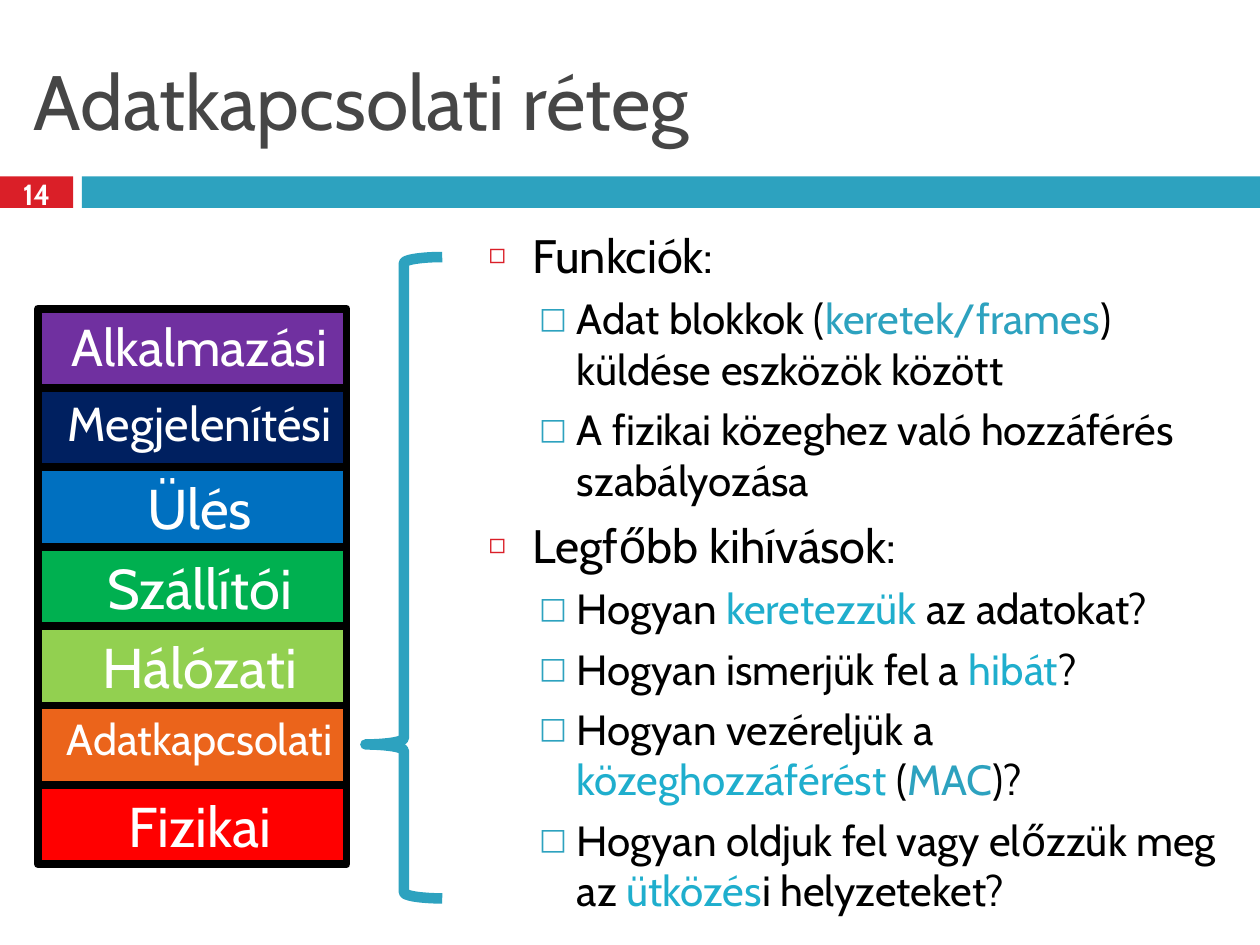
from dataclasses import dataclass

from lxml import etree
from pptx import Presentation
from pptx.dml.color import RGBColor
from pptx.enum.shapes import MSO_SHAPE
from pptx.enum.text import MSO_ANCHOR, PP_ALIGN
from pptx.oxml.ns import qn
from pptx.util import Inches, Pt

RECT, BRACE = MSO_SHAPE.RECTANGLE, MSO_SHAPE.LEFT_BRACE
TOP, MIDDLE = MSO_ANCHOR.TOP, MSO_ANCHOR.MIDDLE
LEFT, CENTER = PP_ALIGN.LEFT, PP_ALIGN.CENTER

FONT = "Cabin"
WHITE = RGBColor(0xFF, 0xFF, 0xFF)
BLACK = RGBColor(0x00, 0x00, 0x00)
GREY = RGBColor(0x46, 0x46, 0x46)
RED = RGBColor(0xDA, 0x1F, 0x28)
TEAL = RGBColor(0x2D, 0xA2, 0xBF)
CYAN = RGBColor(0x1F, 0xAE, 0xCD)

SLIDE_W, SLIDE_H = 10, 7.5
BAR_TOP, BAR_H = 1.4, 0.25
STACK_LEFT, STACK_TOP = 0.3, 2.45
LAYER_W, LAYER_H = 2.45, 0.63


@dataclass
class Layer:
    name: str
    size: float
    fill: RGBColor


@dataclass
class Level:
    size: float
    margin: float
    indent: float
    before: float
    bullet: str
    bullet_color: RGBColor
    bullet_share: int


@dataclass
class Item:
    level: int
    runs: list[tuple[str, RGBColor]]


LAYERS = [
    Layer("Alkalmazási", 29.6, RGBColor(0x70, 0x30, 0xA0)),
    Layer("Megjelenítési", 27.2, RGBColor(0x00, 0x20, 0x60)),
    Layer("Ülés", 32, RGBColor(0x00, 0x70, 0xC0)),
    Layer("Szállítói", 32, RGBColor(0x00, 0xB0, 0x50)),
    Layer("Hálózati", 32, RGBColor(0x92, 0xD0, 0x50)),
    Layer("Adatkapcsolati", 24.8, RGBColor(0xEB, 0x64, 0x1B)),
    Layer("Fizikai", 32, RGBColor(0xFF, 0x00, 0x00)),
]

LEVELS = [
    Level(26.8, 0.35, -0.35, 7, "◻", RED, 60),
    Level(24.1, 0.7, -0.3, 5.5, "□", TEAL, 70),
]

ITEMS = [
    Item(0, [("Funkciók:", BLACK)]),
    Item(1, [("Adat blokkok (", BLACK), ("keretek/frames", TEAL),
             (") küldése eszközök között", BLACK)]),
    Item(1, [("A fizikai közeghez való hozzáférés szabályozása", BLACK)]),
    Item(0, [("Legfőbb kihívások:", BLACK)]),
    Item(1, [("Hogyan ", BLACK), ("keretezzük", CYAN), (" az adatokat?", BLACK)]),
    Item(1, [("Hogyan ismerjük fel a ", BLACK), ("hibát", CYAN), ("?", BLACK)]),
    Item(1, [("Hogyan vezéreljük a ", BLACK), ("közeghozzáférést ", CYAN),
             ("(", BLACK), ("MAC", TEAL), (")?", BLACK)]),
    Item(1, [("Hogyan oldjuk fel vagy előzzük meg az ", BLACK),
             ("ütközés", CYAN), ("i helyzeteket?", BLACK)]),
]


def add_run(p, text: str, size: float, color: RGBColor, bold: bool = False) -> None:
    r = p.add_run()
    r.text = text
    for name, value in {"name": FONT, "size": Pt(size), "bold": bold}.items():
        setattr(r.font, name, value)
    r.font.color.rgb = color


def set_indent(p, margin: float, indent: float) -> None:
    pPr = p._p.get_or_add_pPr()
    pPr.set("marL", str(Inches(margin)))
    pPr.set("indent", str(Inches(indent)))


def set_bullet(p, level: Level) -> None:
    pPr = p._p.get_or_add_pPr()
    color = etree.SubElement(pPr, qn("a:buClr"))
    etree.SubElement(color, qn("a:srgbClr"), val=str(level.bullet_color))
    etree.SubElement(pPr, qn("a:buSzPct"), val=str(level.bullet_share * 1000))
    etree.SubElement(pPr, qn("a:buFont"), typeface=FONT)
    etree.SubElement(pPr, qn("a:buChar"), char=level.bullet)


def add_box(s, kind, left: float, top: float, width: float, height: float,
            fill: RGBColor | None = None, line: RGBColor | None = None,
            weight: float = 0):
    sp = s.shapes.add_shape(kind, *map(Inches, (left, top, width, height)))
    sp.shadow.inherit = False
    if fill is None:
        sp.fill.background()
    else:
        sp.fill.solid()
        sp.fill.fore_color.rgb = fill
    if line is None:
        sp.line.fill.background()
    else:
        sp.line.color.rgb = line
        sp.line.width = Pt(weight)
    return sp


def add_text(s, left: float, top: float, width: float, height: float, anchor=TOP):
    tf = s.shapes.add_textbox(*map(Inches, (left, top, width, height))).text_frame
    tf.word_wrap = True
    tf.vertical_anchor = anchor
    return tf


def add_layer(s, row: int, layer: Layer) -> None:
    sp = add_box(s, RECT, STACK_LEFT, STACK_TOP + row * LAYER_H, LAYER_W, LAYER_H,
                 layer.fill, BLACK, 4.5)
    tf = sp.text_frame
    tf.vertical_anchor = TOP
    p = tf.paragraphs[0]
    p.alignment = CENTER
    set_indent(p, 0.12, 0)
    add_run(p, layer.name, layer.size, WHITE)


def add_item(p, item: Item) -> None:
    level = LEVELS[item.level]
    p.level = item.level
    p.alignment = LEFT
    p.space_before = Pt(level.before)
    set_indent(p, level.margin, level.indent)
    set_bullet(p, level)
    for text, color in item.runs:
        add_run(p, text, level.size, color)


def main() -> None:
    prs = Presentation()
    prs.slide_width, prs.slide_height = Inches(SLIDE_W), Inches(SLIDE_H)
    s = prs.slides.add_slide(prs.slide_layouts[6])

    # Header bars, title and slide number
    add_box(s, RECT, 0, BAR_TOP, 0.58, BAR_H, RED)
    add_box(s, RECT, 0.65, BAR_TOP, SLIDE_W - 0.65, BAR_H, TEAL)
    tf = add_text(s, 0.17, 0.25, 9.67, 1.08, MIDDLE)
    add_run(tf.paragraphs[0], "Adatkapcsolati réteg", 44, GREY)
    p = add_text(s, 0, 1.37, 0.58, 0.33, MIDDLE).paragraphs[0]
    p.alignment = CENTER
    add_run(p, "14", 16.6, WHITE, bold=True)

    # Bulleted text
    tf = add_text(s, 3.78, 1.75, 6.06, 5.58)
    for i, item in enumerate(ITEMS):
        add_item(tf.add_paragraph() if i else tf.paragraphs[0], item)

    # Layer stack
    for row, layer in enumerate(LAYERS):
        add_layer(s, row, layer)

    # Brace pointing at the data link layer
    brace = add_box(s, BRACE, 2.9, 2.04, 0.61, 5.09, line=TEAL, weight=6)
    brace.adjustments[0], brace.adjustments[1] = 0.08, 0.76

    prs.save("out.pptx")


if __name__ == "__main__":
    main()
